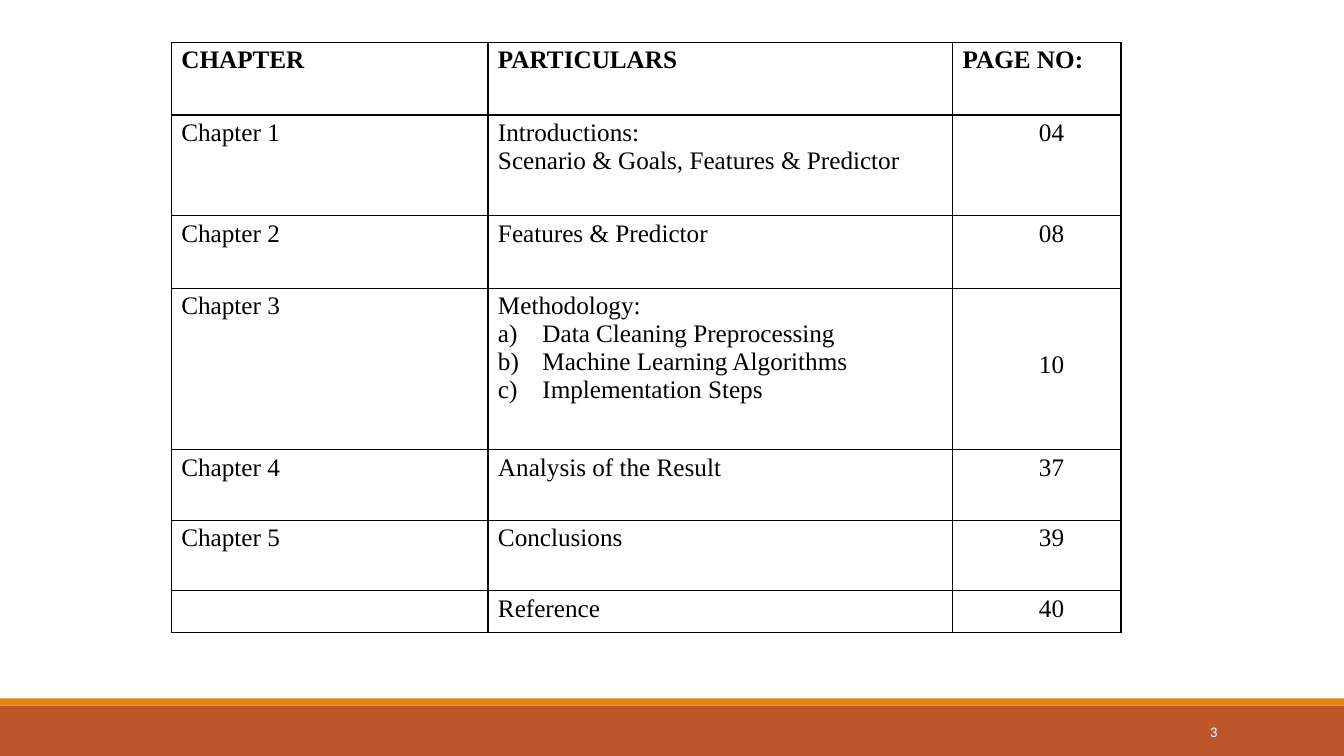
from dataclasses import dataclass

import pptx
import pptx.dml.color
import pptx.enum.shapes
import pptx.enum.text
import pptx.oxml
import pptx.oxml.ns
import pptx.util
from pptx.util import Cm

ALIGN = pptx.enum.text.PP_ALIGN


@dataclass(frozen=True)
class Theme:
    ink: str = "000000"
    paper: str = "FFFFFF"
    footer: str = "BC572C"
    accent: str = "E38312"
    table_font: str = "Times New Roman"
    number_font: str = "Calibri"
    table_size: float = 18
    number_size: float = 10.5
    border_width: float = 1


THEME = Theme()
COLUMN_WIDTHS = (7.98, 11.71, 4.24)
ROW_HEIGHTS = (1.83, 2.54, 1.83, 4.06, 1.78, 1.78, 1.04)
HEADER = ("CHAPTER", "PARTICULARS", "PAGE NO:")
CHAPTERS = (
    ("Chapter 1", ("Introductions:", "Scenario & Goals, Features & Predictor"), (), "04"),
    ("Chapter 2", ("Features & Predictor",), (), "08"),
    ("Chapter 3", ("Methodology:",),
     ("Data Cleaning Preprocessing", "Machine Learning Algorithms", "Implementation Steps"), "10"),
    ("Chapter 4", ("Analysis of the Result",), (), "37"),
    ("Chapter 5", ("Conclusions",), (), "39"),
    ("", ("Reference",), (), "40"),
)


def rgb(color):
    return pptx.dml.color.RGBColor.from_string(color)


def add_run(paragraph, text, font, size, color, bold=False):
    run = paragraph.add_run()
    run.text = text
    run.font.name = font
    run.font.size = pptx.util.Pt(size)
    run.font.color.rgb = rgb(color)
    run.font.bold = bold


def indent(paragraph, left, first=0):
    properties = paragraph._p.get_or_add_pPr()
    properties.set("marL", str(Cm(left)))
    properties.set("indent", str(Cm(first)))
    return properties


def add_letter(paragraph):
    properties = indent(paragraph, 1.37, -1.12)
    properties.append(pptx.oxml.parse_xml(
        f'<a:buAutoNum {pptx.oxml.ns.nsdecls("a")} type="alphaLcParenR"/>'))


def add_band(slide, top, height, color):
    shape = slide.shapes.add_shape(
        pptx.enum.shapes.MSO_SHAPE.RECTANGLE, 0, Cm(top), Cm(33.87), Cm(height))
    shape.shadow.inherit = False
    shape.fill.solid()
    shape.fill.fore_color.rgb = rgb(color)
    shape.line.fill.background()


def format_cell(cell):
    properties = cell._tc.get_or_add_tcPr()
    for side in ("lnL", "lnR", "lnT", "lnB"):
        properties.append(pptx.oxml.parse_xml(
            f'<a:{side} {pptx.oxml.ns.nsdecls("a")} w="{pptx.util.Pt(THEME.border_width)}">'
            f'<a:solidFill><a:srgbClr val="{THEME.ink}"/></a:solidFill></a:{side}>'))
    cell.fill.background()
    cell.margin_left = cell.margin_right = cell.margin_bottom = 0
    cell.margin_top = Cm(0.1)


def write_cell(cell, lines, letters=(), bold=False, centered=False):
    for index, text in enumerate((*lines, *letters)):
        frame = cell.text_frame
        paragraph = frame.add_paragraph() if index else frame.paragraphs[0]
        paragraph.space_before = pptx.util.Pt(0 if index else 3)
        if index >= len(lines):
            add_letter(paragraph)
        else:
            indent(paragraph, 0.74 if centered else 0.25)
        if centered:
            paragraph.alignment = ALIGN.CENTER
        add_run(paragraph, text, THEME.table_font, THEME.table_size, THEME.ink, bold)


def add_contents_table(slide):
    table = slide.shapes.add_table(
        len(ROW_HEIGHTS), len(COLUMN_WIDTHS), Cm(4.32), Cm(1.07),
        Cm(sum(COLUMN_WIDTHS)), Cm(sum(ROW_HEIGHTS))).table
    table.first_row = table.horz_banding = False
    for column, width in zip(table.columns, COLUMN_WIDTHS):
        column.width = Cm(width)
    for row, height in zip(table.rows, ROW_HEIGHTS):
        row.height = Cm(height)
    for cell in table.iter_cells():
        format_cell(cell)
    for column, heading in enumerate(HEADER):
        write_cell(table.cell(0, column), (heading,), bold=True)
    for row, (chapter, lines, letters, page) in enumerate(CHAPTERS, start=1):
        if chapter:
            write_cell(table.cell(row, 0), (chapter,))
        write_cell(table.cell(row, 1), lines, letters)
        page_cell = table.cell(row, 2)
        write_cell(page_cell, (page,), centered=True)
        if letters:
            page_cell.margin_top = Cm(1.57)


def add_slide_number(slide, number):
    frame = slide.shapes.add_textbox(Cm(30.4), Cm(18.26), Cm(0.58), Cm(0.43)).text_frame
    frame.margin_left = frame.margin_right = frame.margin_top = frame.margin_bottom = 0
    frame.word_wrap = True
    paragraph = frame.paragraphs[0]
    indent(paragraph, 0.1)
    paragraph.line_spacing = pptx.util.Pt(11)
    add_run(paragraph, number, THEME.number_font, THEME.number_size, THEME.paper)


def main():
    presentation = pptx.Presentation()
    presentation.slide_width = Cm(33.87)
    presentation.slide_height = Cm(19.05)
    slide = presentation.slides.add_slide(presentation.slide_layouts[6])
    add_band(slide, 17.78, 1.27, THEME.footer)
    add_band(slide, 17.6, 0.18, THEME.accent)
    add_contents_table(slide)
    add_slide_number(slide, "3")
    presentation.save("out.pptx")


if __name__ == "__main__":
    main()
